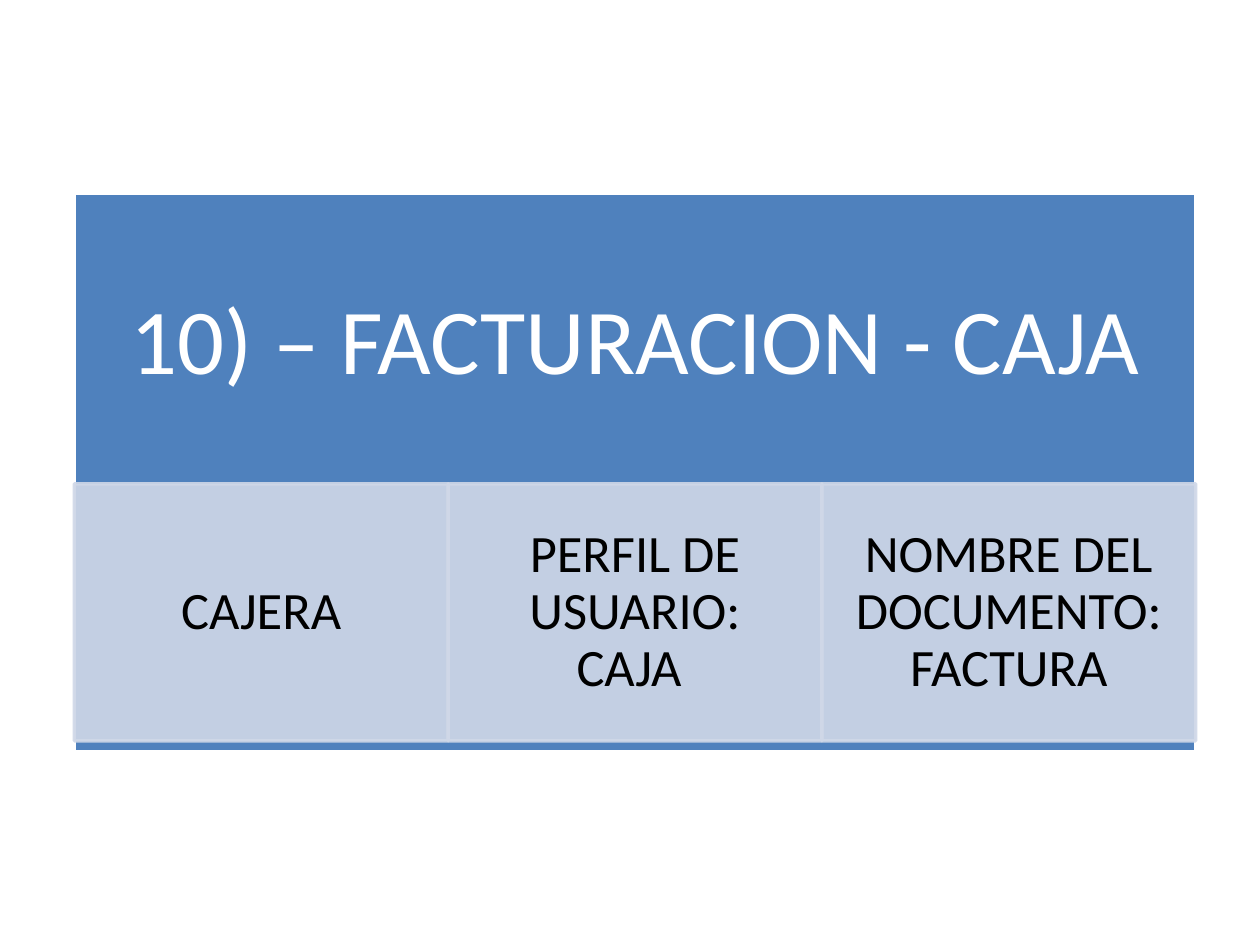
import pptx
import pptx.util
import pptx.dml.color
import pptx.enum.shapes
import pptx.enum.text
import pptx.oxml.ns
import lxml.etree

Inches = pptx.util.Inches
TITLE = "10) – FACTURACION - CAJA"
DETAILS = ["CAJERA", "PERFIL DE USUARIO: CAJA ", "NOMBRE DEL DOCUMENTO: FACTURA"]


def color(value):
    return pptx.dml.color.RGBColor.from_string(value)


def apply(target, values):
    for name, value in values.items():
        setattr(target, name, value)


def paint(shape, fill, line, opacity=100):
    shape.fill.solid()
    shape.fill.fore_color.rgb = color(fill)
    shape.line.color.rgb = color(line)
    shape.line.width = pptx.util.Pt(2)
    if opacity < 100:
        for node in shape._element.spPr.iter(pptx.oxml.ns.qn("a:srgbClr")):
            alpha = lxml.etree.SubElement(node, pptx.oxml.ns.qn("a:alpha"))
            alpha.set("val", str(opacity * 1000))


def write(shape, text, size, ink, margins):
    frame = shape.text_frame
    apply(frame, {
        "word_wrap": True,
        "auto_size": pptx.enum.text.MSO_AUTO_SIZE.NONE,
        "vertical_anchor": pptx.enum.text.MSO_ANCHOR.MIDDLE,
    })
    sides = ("margin_left", "margin_top", "margin_right", "margin_bottom")
    apply(frame, {side: Inches(value) for side, value in zip(sides, margins)})
    para = frame.paragraphs[0]
    apply(para, {"alignment": pptx.enum.text.PP_ALIGN.CENTER, "line_spacing": 0.9})
    span = para.add_run()
    span.text = text
    apply(span.font, {"name": "Calibri", "size": pptx.util.Pt(size)})
    span.font.color.rgb = color(ink)


def add_banner(page, box, heading_height):
    left, top, width, height = box
    banner = page.shapes.title
    apply(banner, {"left": Inches(left), "top": Inches(top),
                   "width": Inches(width), "height": Inches(height)})
    paint(banner, "4F81BD", "FFFFFF")
    inset = 0.41
    write(banner, TITLE, 53, "FFFFFF",
          (inset, inset, inset, height - heading_height + inset))


def add_details(page, box):
    left, top, width, height = box
    cell_width = width / len(DETAILS)
    for index, text in enumerate(DETAILS):
        cell = page.shapes.add_shape(
            pptx.enum.shapes.MSO_SHAPE.RECTANGLE,
            Inches(left + index * cell_width), Inches(top),
            Inches(cell_width), Inches(height))
        cell.shadow.inherit = False
        paint(cell, "D0D8E8", "D0D8E8", 90)
        write(cell, text, 30, "000000", (0.23, 0.04, 0.23, 0.04))


def add_cover(deck, box):
    left, top, width, height = box
    page = deck.slides.add_slide(deck.slide_layouts[5])
    add_banner(page, box, 2.4)
    add_details(page, (left, top + 2.31, width, 2.04))


deck = pptx.Presentation()
apply(deck, {"slide_width": Inches(10), "slide_height": Inches(7.5)})
add_cover(deck, (0.59, 1.53, 8.9, 4.44))
deck.save("out.pptx")
